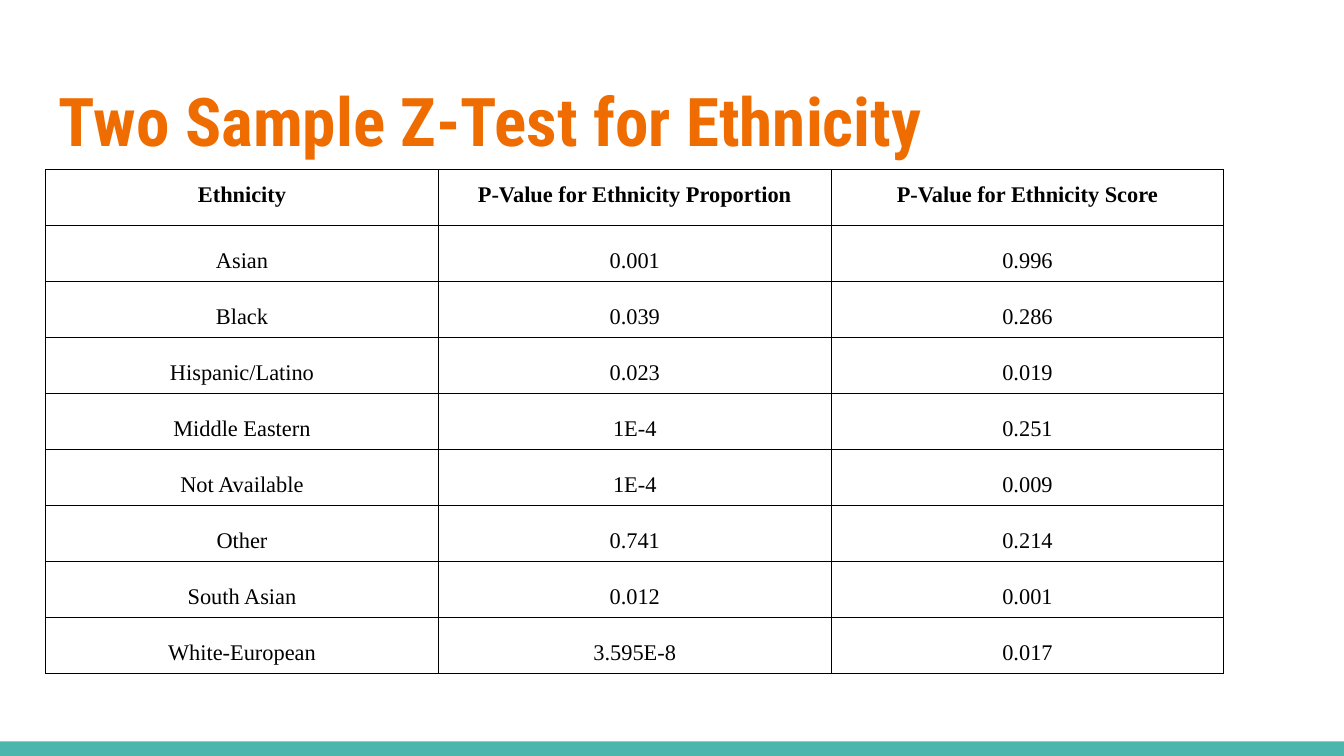
import pptx
import pptx.dml.color
import pptx.enum.shapes
import pptx.enum.text
import pptx.oxml
import pptx.oxml.ns
import pptx.util

Pt = pptx.util.Pt
RGBColor = pptx.dml.color.RGBColor
Anchor = pptx.enum.text.MSO_ANCHOR
Align = pptx.enum.text.PP_ALIGN

TEAL = RGBColor(0x4D, 0xB6, 0xAC)
ORANGE = RGBColor(0xEF, 0x6C, 0x00)
BLACK = RGBColor(0, 0, 0)
WHITE = RGBColor(255, 255, 255)

ROWS = [
    ("Ethnicity", "P-Value for Ethnicity Proportion", "P-Value for Ethnicity Score"),
    ("Asian", "0.001", "0.996"),
    ("Black", "0.039", "0.286"),
    ("Hispanic/Latino", "0.023", "0.019"),
    ("Middle Eastern", "1E-4", "0.251"),
    ("Not Available", "1E-4", "0.009"),
    ("Other", "0.741", "0.214"),
    ("South Asian", "0.012", "0.001"),
    ("White-European", "3.595E-8", "0.017"),
]
LEFT, TOP = 24.5, 90.8
COL_W, ROW_H = 210.4, 30


def write(frame, text, font="Times New Roman", size=12, color=BLACK,
          bold=False, align=Align.CENTER, space=None):
    par = frame.paragraphs[0]
    par.alignment = align
    par.line_spacing = space
    run = par.add_run()
    run.text = text
    run.font.name = font
    run.font.size = Pt(size)
    run.font.bold = bold
    run.font.color.rgb = color


def border(cell):
    props = cell._tc.get_or_add_tcPr()
    for at, side in enumerate(("lnL", "lnR", "lnT", "lnB")):
        line = pptx.oxml.parse_xml(
            f'<a:{side} {pptx.oxml.ns.nsdecls("a")} w="{Pt(0.75)}">'
            f'<a:solidFill><a:srgbClr val="{BLACK}"/></a:solidFill></a:{side}>')
        props.insert(at, line)


deck = pptx.Presentation()
deck.slide_width, deck.slide_height = Pt(720), Pt(405)
slide = deck.slides.add_slide(deck.slide_layouts[6])
slide.background.fill.solid()
slide.background.fill.fore_color.rgb = WHITE

# Bottom band
band = slide.shapes.add_shape(
    pptx.enum.shapes.MSO_SHAPE.RECTANGLE, 0, Pt(397.2), Pt(720), Pt(7.8))
band.shadow.inherit = False
band.fill.solid()
band.fill.fore_color.rgb = TEAL
band.line.fill.background()

# Title
title = slide.shapes.add_textbox(Pt(LEFT), Pt(35.3), Pt(671), Pt(55.5)).text_frame
title.word_wrap = True
title.margin_left = title.margin_right = Pt(7.2)
title.margin_top = title.margin_bottom = Pt(7.2)
write(title, "Two Sample Z-Test for Ethnicity", font="Roboto Condensed",
      size=36, color=ORANGE, bold=True, align=Align.LEFT)

# Table of p-values
table = slide.shapes.add_table(
    len(ROWS), 3, Pt(LEFT), Pt(TOP), Pt(3 * COL_W), Pt(len(ROWS) * ROW_H)).table
table.horz_banding = False
for col in table.columns:
    col.width = Pt(COL_W)
for r, row in enumerate(ROWS):
    table.rows[r].height = Pt(ROW_H)
    head = r == 0
    pad = Pt(7.2 if head else 4.5)
    for c, text in enumerate(row):
        cell = table.cell(r, c)
        cell.fill.background()
        cell.margin_left = cell.margin_right = pad
        cell.margin_top = cell.margin_bottom = pad
        cell.vertical_anchor = Anchor.TOP if head else Anchor.BOTTOM
        write(cell.text_frame, text, bold=head, space=None if head else 1.15)
        border(cell)

deck.save("out.pptx")
